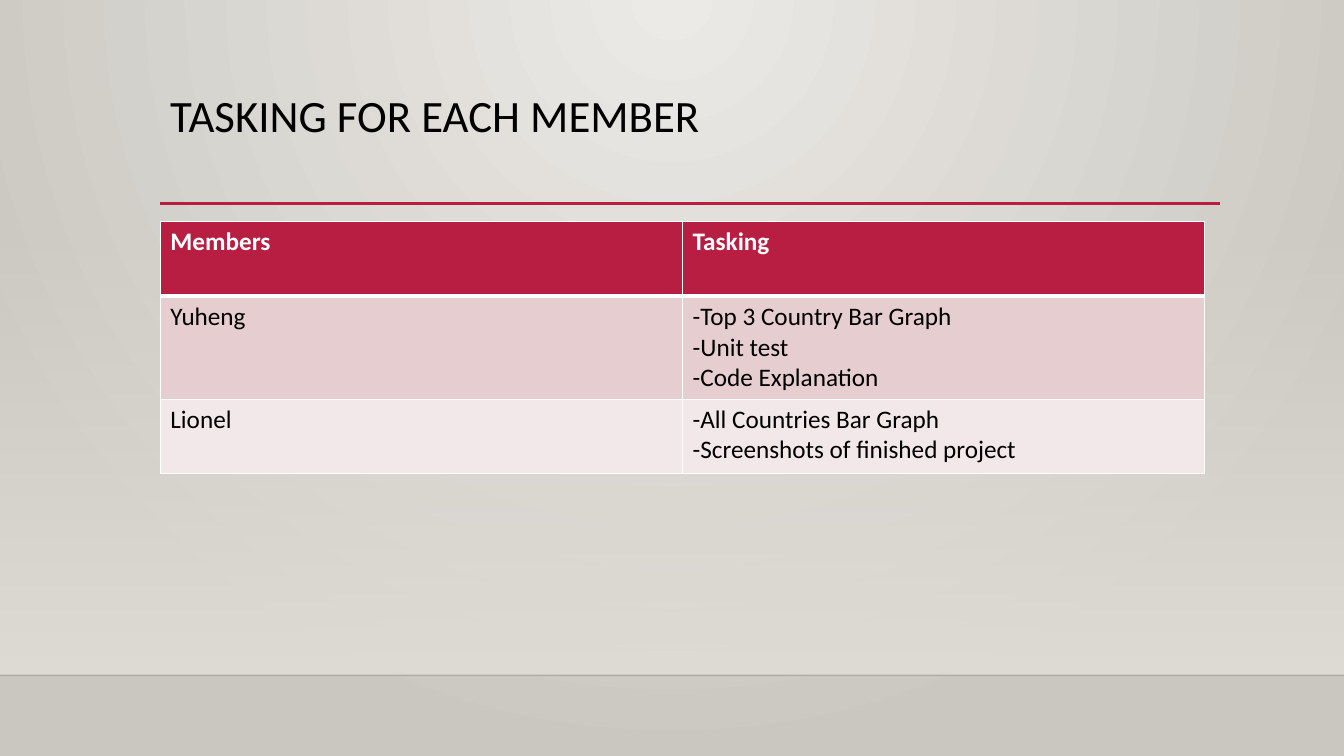
from lxml import etree
from pptx import Presentation, util as u
from pptx.dml.color import RGBColor
from pptx.enum import shapes, text
from pptx.oxml import parse_xml
from pptx.oxml.ns import nsdecls, qn

TITLE = "TASKING FOR EACH MEMBER"
ROWS = [
    ("Members", ["Tasking"]),
    ("Yuheng", ["-Top 3 Country Bar Graph", "-Unit test", "-Code Explanation"]),
    ("Lionel", ["-All Countries Bar Graph", "-Screenshots of finished project"]),
]
THEME = dict(
    font="Calibri", title=32, body=18, ink="000000", white="FFFFFF",
    red="B71E42", bands=("E6CDCF", "F3E8E9"), glow=("ECEAE7", "CAC7C1"),
    wall="DFDBD5", edge="000001",
)
WIDE, HIGH = 13.33, 7.5
LEFT, RULE, FLOOR = 1.59, 2.02, 6.7
COL, ROW, TALL = 5.18, 0.74, 1.02
RADIAL = '<a:path path="circle"><a:fillToRect l="43000" r="43000" b="100000"/></a:path>'
DOWN = '<a:lin ang="5400000" scaled="0"/>'


def rgb(name):
    """Turn a hex string into a colour."""
    return RGBColor.from_string(name)


def blend(fill, root, stops, way):
    """Give a fill a two-stop gradient; stops are (colour, opacity %)."""
    fill.gradient()
    old = root.find(".//" + qn("a:gradFill"))
    marks = "".join(
        f'<a:gs pos="{i * 100000}"><a:srgbClr val="{tint}">'
        f'<a:alpha val="{solid * 1000}"/></a:srgbClr></a:gs>'
        for i, (tint, solid) in enumerate(stops))
    new = parse_xml(f'<a:gradFill {nsdecls("a")} rotWithShape="1">'
                    f'<a:gsLst>{marks}</a:gsLst>{way}</a:gradFill>')
    old.getparent().replace(old, new)


def rule(slide, left, top, right, tint, size, solid=100):
    """Draw a level line."""
    line = slide.shapes.add_connector(
        shapes.MSO_CONNECTOR.STRAIGHT, *map(u.Inches, (left, top, right, top)))
    line.line.color.rgb = rgb(tint)
    line.line.width = u.Pt(size)
    clr = line.element.spPr.find(".//" + qn("a:srgbClr"))
    if solid < 100:
        etree.SubElement(clr, qn("a:alpha"), val=str(solid * 1000))
    etree.SubElement(line.element.spPr, qn("a:effectLst"))


def write(frame, lines, size, tint, bold=False):
    """Fill a text frame, one paragraph a line."""
    frame.text = "\n".join(lines)
    for par in frame.paragraphs:
        font = par.font
        font.name, font.size, font.bold = THEME["font"], u.Pt(size), bold
        font.color.rgb = rgb(tint)


def border(cell, base):
    """Give a cell white edges, with its own weight at the base."""
    props = cell._tc.get_or_add_tcPr()
    for i, (side, size) in enumerate(zip("LRTB", (1, 1, 1, base))):
        props.insert(i, parse_xml(
            f'<a:ln{side} {nsdecls("a")} w="{u.Pt(size)}"><a:solidFill>'
            f'<a:srgbClr val="{THEME["white"]}"/></a:solidFill></a:ln{side}>'))


def scene(slide):
    """Paint the wall, the floor edge and the title rule."""
    blend(slide.background.fill, slide.element,
          [(tint, 100) for tint in THEME["glow"]], RADIAL)
    top = 2.21
    wall = slide.shapes.add_shape(
        shapes.MSO_SHAPE.RECTANGLE, 0, u.Inches(top), u.Inches(WIDE), u.Inches(FLOOR - top))
    wall.shadow.inherit = False
    wall.line.fill.background()
    blend(wall.fill, wall.element, [(THEME["wall"], 0), (THEME["wall"], 100)], DOWN)
    rule(slide, 0, FLOOR, WIDE, THEME["edge"], 1, 20)
    rule(slide, LEFT, RULE, 12.1, THEME["red"], 2.5)


def head(slide):
    """Place the title."""
    box = slide.shapes.add_textbox(*map(u.Inches, (LEFT, 0.88, 10.5, 1.15)))
    frame = box.text_frame
    frame.word_wrap = True
    frame.vertical_anchor = text.MSO_ANCHOR.TOP
    write(frame, [TITLE], THEME["title"], THEME["ink"])
    frame.paragraphs[0].line_spacing = 0.9


def grid(slide):
    """Build the table of members and tasks."""
    highs = [TALL if len(tasks) > 2 else ROW for _, tasks in ROWS]
    table = slide.shapes.add_table(
        len(ROWS), 2, *map(u.Inches, (LEFT, 2.2, 2 * COL, sum(highs)))).table
    for col in table.columns:
        col.width = u.Inches(COL)
    for r, (name, tasks) in enumerate(ROWS):
        table.rows[r].height = u.Inches(highs[r])
        top = r == 0
        for c, lines in enumerate(([name], tasks)):
            cell = table.cell(r, c)
            cell.fill.solid()
            cell.fill.fore_color.rgb = rgb(THEME["red"] if top else THEME["bands"][r - 1])
            write(cell.text_frame, lines, THEME["body"],
                  THEME["white" if top else "ink"], top)
            border(cell, 3 if top else 1)


deck = Presentation()
deck.slide_width, deck.slide_height = u.Inches(WIDE), u.Inches(HIGH)
page = deck.slides.add_slide(deck.slide_layouts[6])
scene(page)
head(page)
grid(page)
deck.save("out.pptx")
